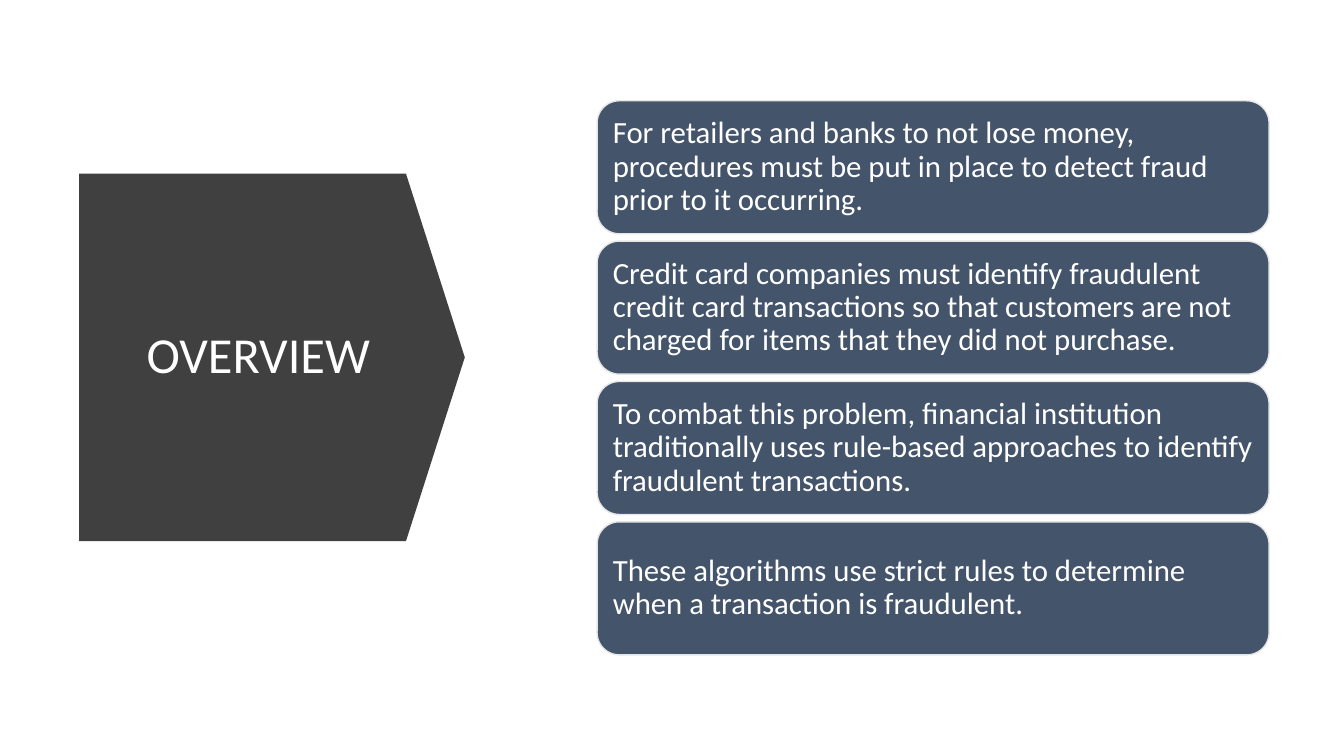
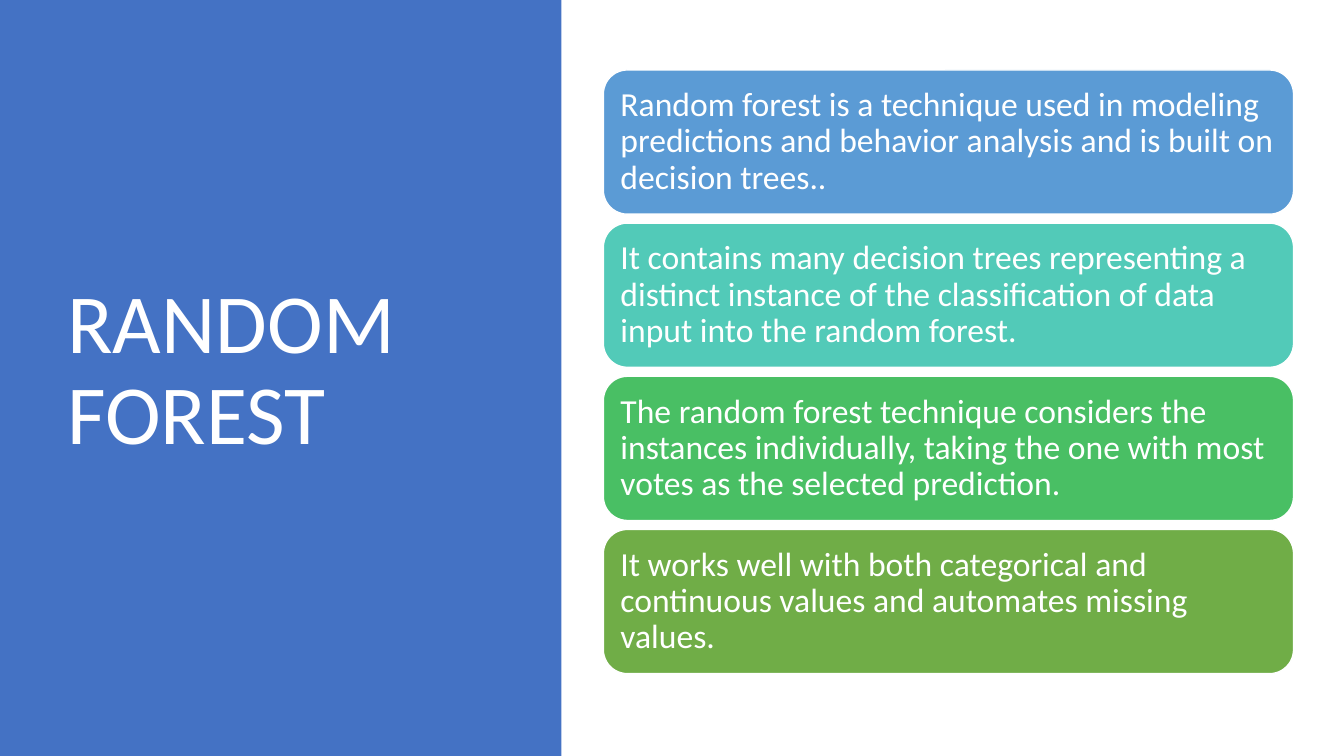
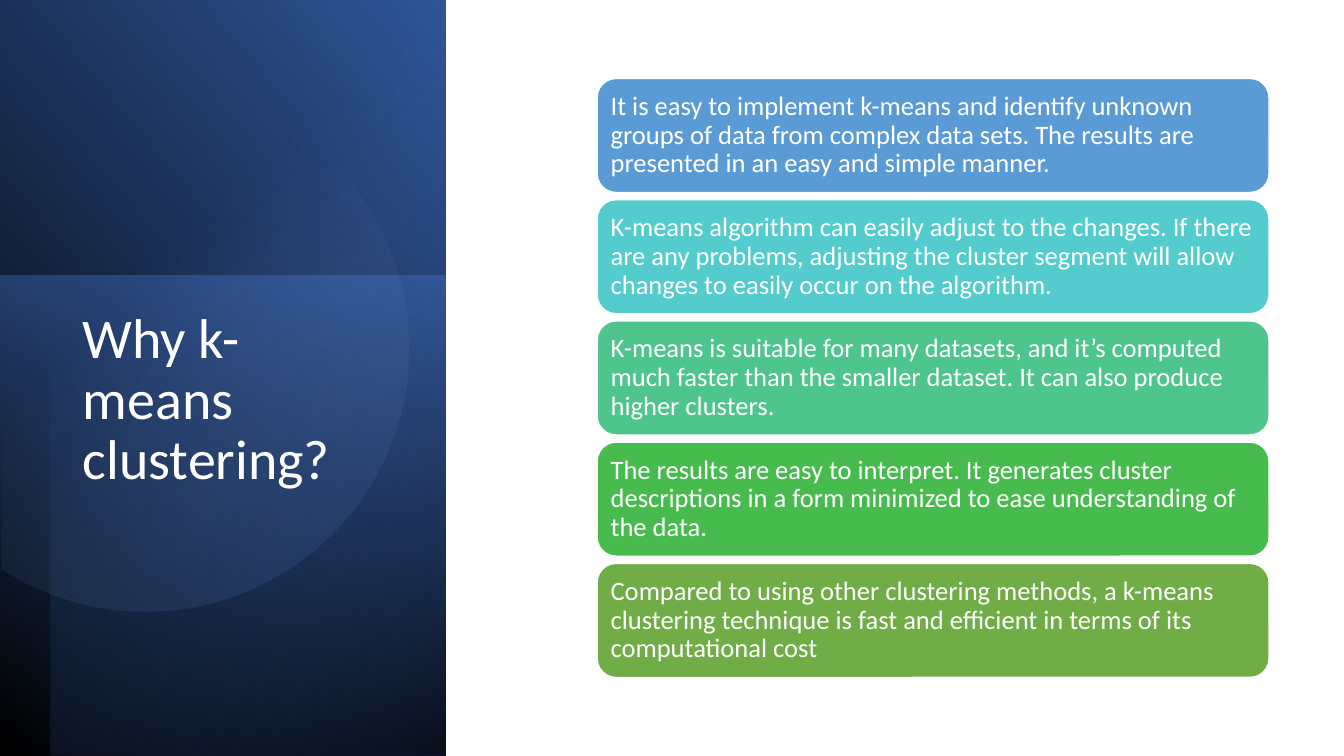
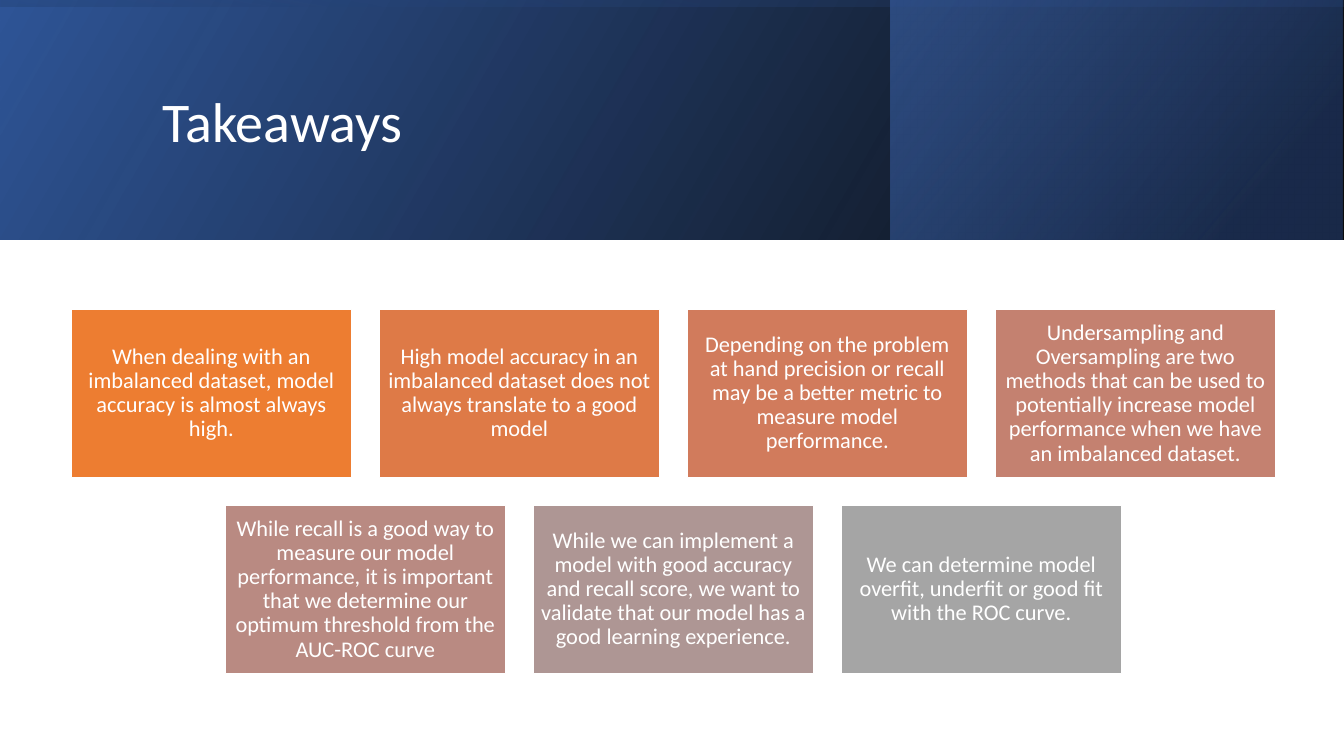
from math import cos, radians, sin

from lxml.etree import SubElement
from pptx import Presentation
from pptx.dml.color import RGBColor
from pptx.enum.shapes import MSO_SHAPE as Preset
from pptx.enum.text import MSO_ANCHOR as Anchor, PP_ALIGN as Align
from pptx.oxml.ns import qn
from pptx.util import Pt

WHITE = RGBColor(0xFF, 0xFF, 0xFF)
BLACK = RGBColor(0x00, 0x00, 0x00)
CHARCOAL = RGBColor(0x40, 0x40, 0x40)
SLATE = RGBColor(0x44, 0x54, 0x6A)
LIGHT_GRAY = RGBColor(0xE7, 0xE6, 0xE6)
GRAY = RGBColor(0xA5, 0xA5, 0xA5)
BLUE = RGBColor(0x44, 0x72, 0xC4)
DEEP_BLUE = RGBColor(0x2F, 0x55, 0x97)
NAVY = RGBColor(0x20, 0x38, 0x64)
PALE_BLUE = RGBColor(0x8F, 0xAA, 0xDC)
SKY = RGBColor(0x5B, 0x9B, 0xD5)
TEAL = RGBColor(0x52, 0xCA, 0xB8)
AQUA = RGBColor(0x54, 0xCC, 0xCD)
MINT = RGBColor(0x4D, 0xC5, 0x8D)
EMERALD = RGBColor(0x49, 0xBF, 0x64)
GREEN = RGBColor(0x48, 0xBB, 0x4F)
OLIVE = RGBColor(0x70, 0xAD, 0x47)
ORANGE = RGBColor(0xED, 0x7D, 0x31)
RUST = RGBColor(0xDE, 0x7A, 0x47)
CORAL = RGBColor(0xD1, 0x7B, 0x5C)
CLAY = RGBColor(0xC4, 0x81, 0x70)
ROSE = RGBColor(0xB9, 0x8A, 0x82)
MAUVE = RGBColor(0xAE, 0x96, 0x94)

WIDTH, HEIGHT = 960, 540


class Deck:
    font_name = "Calibri"
    line_spacing = 0.9
    inset_ratio = 0.3

    def __init__(self):
        self.presentation = Presentation()
        self.presentation.slide_width = Pt(WIDTH)
        self.presentation.slide_height = Pt(HEIGHT)
        self.slide = None

    def add_slide(self):
        layout = self.presentation.slide_layouts.get_by_name("Title Only")
        self.slide = self.presentation.slides.add_slide(layout)

    def set_text(self, shape, text, size, align, anchor):
        frame = shape.text_frame
        frame.text = text
        frame.word_wrap = True
        frame.vertical_anchor = anchor
        paragraph = frame.paragraphs[0]
        paragraph.alignment = align
        paragraph.line_spacing = self.line_spacing
        paragraph.font.name = self.font_name
        paragraph.font.size = Pt(size)
        paragraph.font.color.rgb = WHITE

    def title(self, text, box, size, align=Align.LEFT, anchor=Anchor.MIDDLE):
        title = self.slide.shapes.title
        title.left, title.top, title.width, title.height = map(Pt, box)
        self.set_text(title, text, size, align, anchor)
        self.slide.shapes._spTree.append(title._element)

    def paint(self, shape, color):
        shape.shadow.inherit = False
        shape.fill.solid()
        shape.fill.fore_color.rgb = color
        shape.line.fill.background()

    def paint_gradient(self, shape, angle, stops):
        shape.shadow.inherit = False
        shape.line.fill.background()
        shape.fill.background()
        properties = shape._element.spPr
        gradient = properties.makeelement(qn("a:gradFill"), {"rotWithShape": "1"})
        stop_list = SubElement(gradient, qn("a:gsLst"))
        for position, color, opacity in stops:
            stop = SubElement(stop_list, qn("a:gs"), pos=str(position * 1000))
            tint = SubElement(stop, qn("a:srgbClr"), val=str(color))
            if opacity < 100:
                SubElement(tint, qn("a:alpha"), val=str(opacity * 1000))
        SubElement(gradient, qn("a:lin"), ang=str(angle * 60000), scaled="0")
        properties.replace(properties.find(qn("a:noFill")), gradient)

    def panel(self, box, preset=Preset.RECTANGLE, rotation=0, flip=False):
        left, top, width, height = box
        if rotation in (90, 270):
            left += (width - height) / 2
            top += (height - width) / 2
            width, height = height, width
        shape = self.slide.shapes.add_shape(preset, Pt(left), Pt(top), Pt(width), Pt(height))
        shape.rotation = rotation
        if flip:
            shape._element.spPr.get_or_add_xfrm().set("flipH", "1")
        return shape

    def arrow_panel(self, box, color):
        arrow = self.panel(box, Preset.DOWN_ARROW, 270)
        arrow.adjustments[0] = 1
        arrow.adjustments[1] = 0.16
        self.paint(arrow, color)

    def solid_panel(self, box, color):
        self.paint(self.panel(box), color)

    def gradient_panel(self, box, angle, stops, rotation=0, flip=True):
        self.paint_gradient(self.panel(box, rotation=rotation, flip=flip), angle, stops)

    def gradient_disc(self, center_x, center_y, radius, end_angle, angle, stops):
        points = [
            (Pt(center_x + radius * cos(radians(turn))), Pt(center_y + radius * sin(radians(turn))))
            for turn in range(-end_angle, end_angle + 1, 3)
        ]
        builder = self.slide.shapes.build_freeform(*points[0])
        builder.add_line_segments(points[1:], close=True)
        self.paint_gradient(builder.convert_to_shape(), angle, stops)

    def card(self, box, text, size, color, line=WHITE, preset=Preset.ROUNDED_RECTANGLE, align=Align.LEFT):
        card = self.panel(box, preset)
        self.paint(card, color)
        card.line.color.rgb = line
        card.line.width = Pt(1)
        frame = card.text_frame
        inset = Pt(size * self.inset_ratio)
        frame.margin_left = frame.margin_right = inset
        frame.margin_top = frame.margin_bottom = inset
        self.set_text(card, text, size, align, Anchor.MIDDLE)

    def card_column(self, first_box, pitch, size, cards, line=WHITE):
        left, top, width, height = first_box
        for index, (text, color) in enumerate(cards):
            self.card((left, top + index * pitch, width, height), text, size, color, line)

    def card_rows(self, top, width, height, gap, size, rows):
        for row_index, row in enumerate(rows):
            row_width = len(row) * (width + gap) - gap
            left = (WIDTH - row_width) / 2 + 1
            for index, (text, color) in enumerate(row):
                box = (left + index * (width + gap), top + row_index * (height + gap), width, height)
                self.card(box, text, size, color, preset=Preset.RECTANGLE, align=Align.CENTER)


def add_overview(deck):
    deck.add_slide()
    deck.arrow_panel((56.5, 124, 275.5, 262.5), CHARCOAL)
    deck.title("OVERVIEW", (81, 155, 207, 201), 36, Align.CENTER)
    texts = [
        "For retailers and banks to not lose money, procedures must be put in place to detect fraud prior to it occurring.",
        "Credit card companies must identify fraudulent credit card transactions so that customers are not charged for items that they did not purchase.",
        "To combat this problem, financial institution traditionally uses rule-based approaches to identify fraudulent transactions.",
        "These algorithms use strict rules to determine when a transaction is fraudulent.",
    ]
    deck.card_column((426.5, 72, 480, 95), 100.25, 22, [(text, SLATE) for text in texts], LIGHT_GRAY)


def add_random_forest(deck):
    deck.add_slide()
    deck.solid_panel((0, 0, 401, HEIGHT), BLUE)
    deck.title("RANDOM FOREST", (41, 49, 300, 433), 60)
    deck.card_column((431, 50, 493, 103), 109.4, 24, [
        ("Random forest is a technique used in modeling predictions and behavior analysis and is built on decision trees..", SKY),
        ("It contains many decision trees representing a distinct instance of the classification of data input into the random forest.", TEAL),
        ("The random forest technique considers the instances individually, taking the one with most votes as the selected prediction.", EMERALD),
        ("It works well with both categorical and continuous values and automates missing values.", OLIVE),
    ])


def add_k_means(deck):
    panel_width = 318.5
    deck.add_slide()
    deck.gradient_panel((0, 0, panel_width, HEIGHT), 310, [(0, BLACK, 100), (100, DEEP_BLUE, 100)], 90)
    deck.gradient_panel((0, 197, panel_width, 343), 190, [(0, BLUE, 50), (100, NAVY, 0)], 270, flip=False)
    deck.gradient_panel((36, 0, panel_width - 36, HEIGHT), 220, [(0, BLACK, 59), (69, BLUE, 0)], 270)
    deck.gradient_disc(103.5, 248.5, 188, 123, 52, [(39, PALE_BLUE, 0), (100, DEEP_BLUE, 26)])
    deck.title("Why k-means clustering?", (52, 218, 227, 242), 40, anchor=Anchor.TOP)
    deck.card_column((426.5, 56, 480, 81.5), 86.6, 19, [
        ("It is easy to implement k-means and identify unknown groups of data from complex data sets. The results are presented in an easy and simple manner.", SKY),
        ("K-means algorithm can easily adjust to the changes. If there are any problems, adjusting the cluster segment will allow changes to easily occur on the algorithm.", AQUA),
        ("K-means is suitable for many datasets, and it’s computed much faster than the smaller dataset. It can also produce higher clusters.", MINT),
        ("The results are easy to interpret. It generates cluster descriptions in a form minimized to ease understanding of the data.", GREEN),
        ("Compared to using other clustering methods, a k-means clustering technique is fast and efficient in terms of its computational cost", OLIVE),
    ])


def add_takeaways(deck):
    band_height = 171
    deck.add_slide()
    deck.gradient_panel((0, 0, WIDTH, band_height), 330, [(0, BLACK, 96), (100, DEEP_BLUE, 100)])
    deck.gradient_panel((636, 0, 323, band_height), 320, [(19, NAVY, 68), (100, BLUE, 48)])
    deck.gradient_panel((0, 0, WIDTH, band_height), 350, [(23, DEEP_BLUE, 16), (99, BLACK, 45)], 270)
    deck.title("Takeaways", (109, 27, 765, 124), 40)
    deck.card_rows(221, 200, 120, 20, 16, [
        [
            ("When dealing with an imbalanced dataset, model accuracy is almost always high.", ORANGE),
            ("High model accuracy in an imbalanced dataset does not always translate to a good model", RUST),
            ("Depending on the problem at hand precision or recall may be a better metric to measure model performance.", CORAL),
            ("Undersampling and Oversampling are two methods that can be used to potentially increase model performance when we have an imbalanced dataset.", CLAY),
        ],
        [
            ("While recall is a good way to measure our model performance, it is important that we determine our optimum threshold from the AUC-ROC curve", ROSE),
            ("While we can implement a model with good accuracy and recall score, we want to validate that our model has a good learning experience.", MAUVE),
            ("We can determine model overfit, underfit or good fit with the ROC curve.", GRAY),
        ],
    ])


def main():
    deck = Deck()
    add_overview(deck)
    add_random_forest(deck)
    add_k_means(deck)
    add_takeaways(deck)
    deck.presentation.save("out.pptx")


if __name__ == "__main__":
    main()
